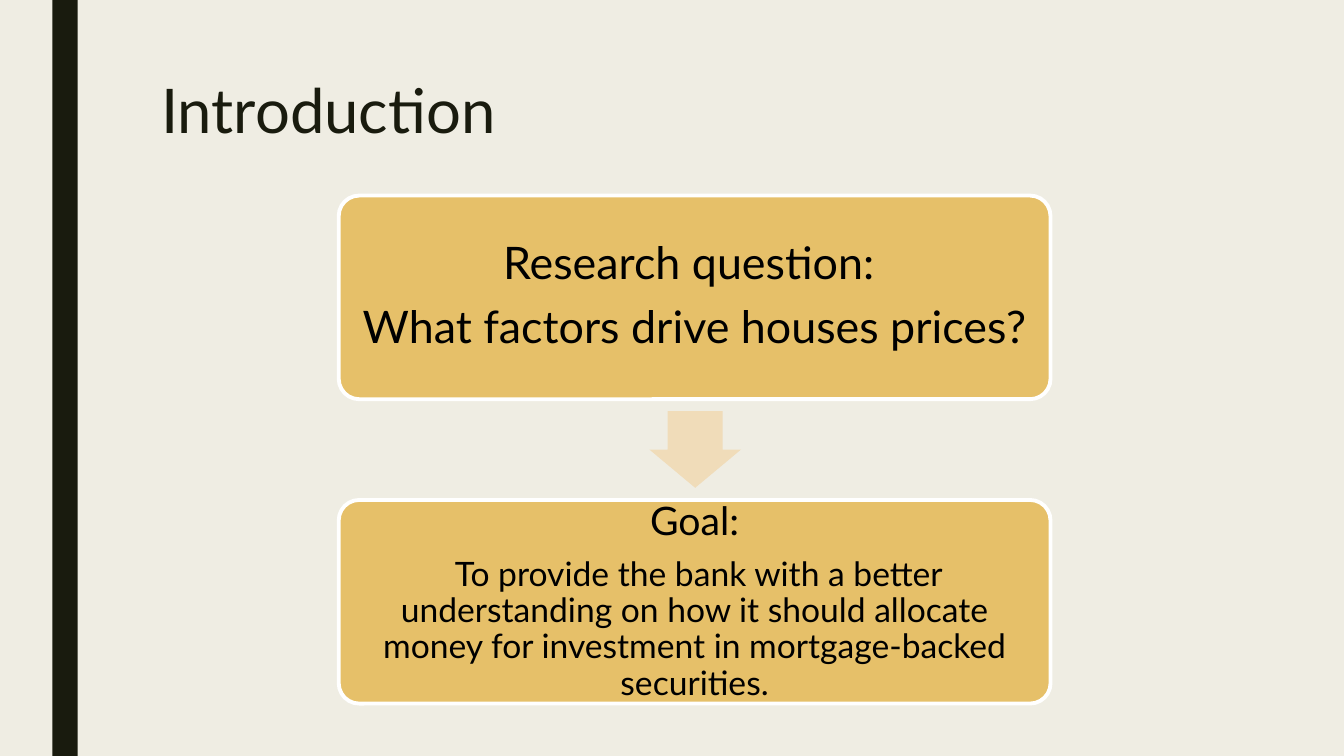
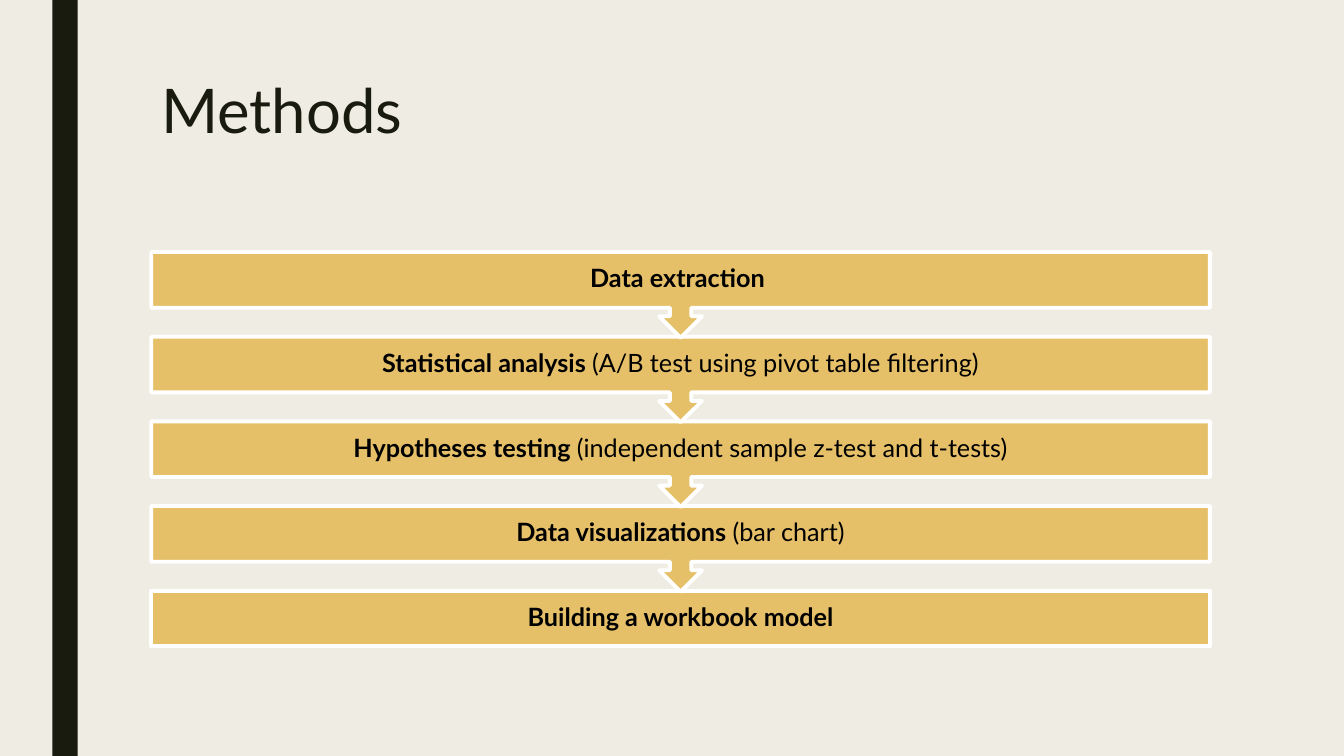
from dataclasses import dataclass
from pptx import Presentation
from pptx.dml.color import RGBColor
from pptx.enum.shapes import MSO_SHAPE
from pptx.enum.text import MSO_ANCHOR, PP_ALIGN
from pptx.util import Inches, Pt

RECTANGLE = MSO_SHAPE.RECTANGLE
ROUNDED = MSO_SHAPE.ROUNDED_RECTANGLE
DOWN_ARROW = MSO_SHAPE.DOWN_ARROW
CALLOUT = MSO_SHAPE.UP_ARROW_CALLOUT
MIDDLE = MSO_ANCHOR.MIDDLE
CENTER = PP_ALIGN.CENTER


@dataclass(frozen=True)
class Theme:
    font: str = "Lato"
    paper: RGBColor = RGBColor(0xEF, 0xED, 0xE3)
    ink: RGBColor = RGBColor(0x19, 0x1B, 0x0E)
    text: RGBColor = RGBColor(0, 0, 0)
    gold: RGBColor = RGBColor(0xE6, 0xC0, 0x69)
    pale: RGBColor = RGBColor(0xF0, 0xDC, 0xB9)
    outline: RGBColor = RGBColor(0xFF, 0xFF, 0xFF)
    outline_width: float = 2.75
    title: int = 44
    question: int = 32
    goal: int = 28
    detail: int = 24
    step: int = 18


theme = Theme()


def add_figure(page, kind, left, top, width, height, fill, outlined=False):
    figure = page.shapes.add_shape(kind, Inches(left), Inches(top), Inches(width), Inches(height))
    figure.shadow.inherit = False
    figure.fill.solid()
    figure.fill.fore_color.rgb = fill
    if outlined:
        figure.line.color.rgb = theme.outline
        figure.line.width = Pt(theme.outline_width)
    else:
        figure.line.fill.background()
    return figure


def write_centered(box, lines, inset):
    frame = box.text_frame
    frame.word_wrap = True
    frame.vertical_anchor = MIDDLE
    frame.margin_left = frame.margin_right = Inches(inset)
    frame.margin_top = frame.margin_bottom = Inches(inset)
    for index, (size, parts) in enumerate(lines):
        para = frame.add_paragraph() if index else frame.paragraphs[0]
        para.alignment = CENTER
        para.line_spacing = 0.9
        para.space_after = Pt(round(size * 0.35, 1))
        for words, bold in parts:
            span = para.add_run()
            span.text = words
            span.font.name = theme.font
            span.font.size = Pt(size)
            span.font.bold = bold
            span.font.color.rgb = theme.text


deck = Presentation()
deck.slide_width = Inches(13.33)
deck.slide_height = Inches(7.5)
deck.slide_master.background.fill.solid()
deck.slide_master.background.fill.fore_color.rgb = theme.paper

pages = []
for heading in ("Introduction", "Methods"):
    page = deck.slides.add_slide(deck.slide_layouts[6])
    add_figure(page, RECTANGLE, 0.52, 0, 0.25, 7.5, theme.ink)
    title = page.shapes.add_textbox(Inches(1.5), Inches(0.75), Inches(10.5), Inches(0.98))
    title.text_frame.word_wrap = True
    para = title.text_frame.paragraphs[0]
    para.line_spacing = 0.89
    span = para.add_run()
    span.text = heading
    span.font.name = theme.font
    span.font.size = Pt(theme.title)
    span.font.color.rgb = theme.ink
    pages.append(page)
introduction, methods = pages

cards = [
    (1.94, 0.13, [
        (theme.question, [("Research question: ", False)]),
        (theme.question, [("What factors drive houses prices? ", False)]),
    ]),
    (4.96, 0.12, [
        (theme.goal, [("Goal:", False)]),
        (theme.detail, [(" To provide the bank with a better understanding on how it should "
                         "allocate money for investment in mortgage-backed securities.", False)]),
    ]),
]
for top, inset, lines in cards:
    card = add_figure(introduction, ROUNDED, 3.36, top, 7.06, 2.02, theme.gold, True)
    card.adjustments[0] = 0.1
    write_centered(card, lines, inset)
arrow = add_figure(introduction, DOWN_ARROW, 6.44, 4.08, 0.91, 0.76, theme.pale)
arrow.adjustments[0] = 0.6
arrow.adjustments[1] = 0.5

steps = [
    [("Data extraction ", True)],
    [("Statistical analysis ", True), ("(A/B test using pivot table filtering)", False)],
    [("Hypotheses testing ", True), ("(independent sample z-test and t-tests)", False)],
    [("Data visualizations", True), (" (bar chart)", False)],
    [("Building a workbook model", True)],
]
first_top, pitch, label_height = 2.5, 0.84, 0.55
last = len(steps) - 1
for index, parts in reversed(list(enumerate(steps))):
    top = first_top + index * pitch
    if index == last:
        add_figure(methods, RECTANGLE, 1.5, top, 10.5, label_height, theme.gold, True)
    else:
        callout = add_figure(methods, CALLOUT, 1.5, top, 10.5, 0.85, theme.gold, True)
        callout.rotation = 180
    label = methods.shapes.add_textbox(Inches(1.5), Inches(top), Inches(10.5), Inches(label_height))
    write_centered(label, [(theme.step, parts)], 0.14)

deck.save("out.pptx")
